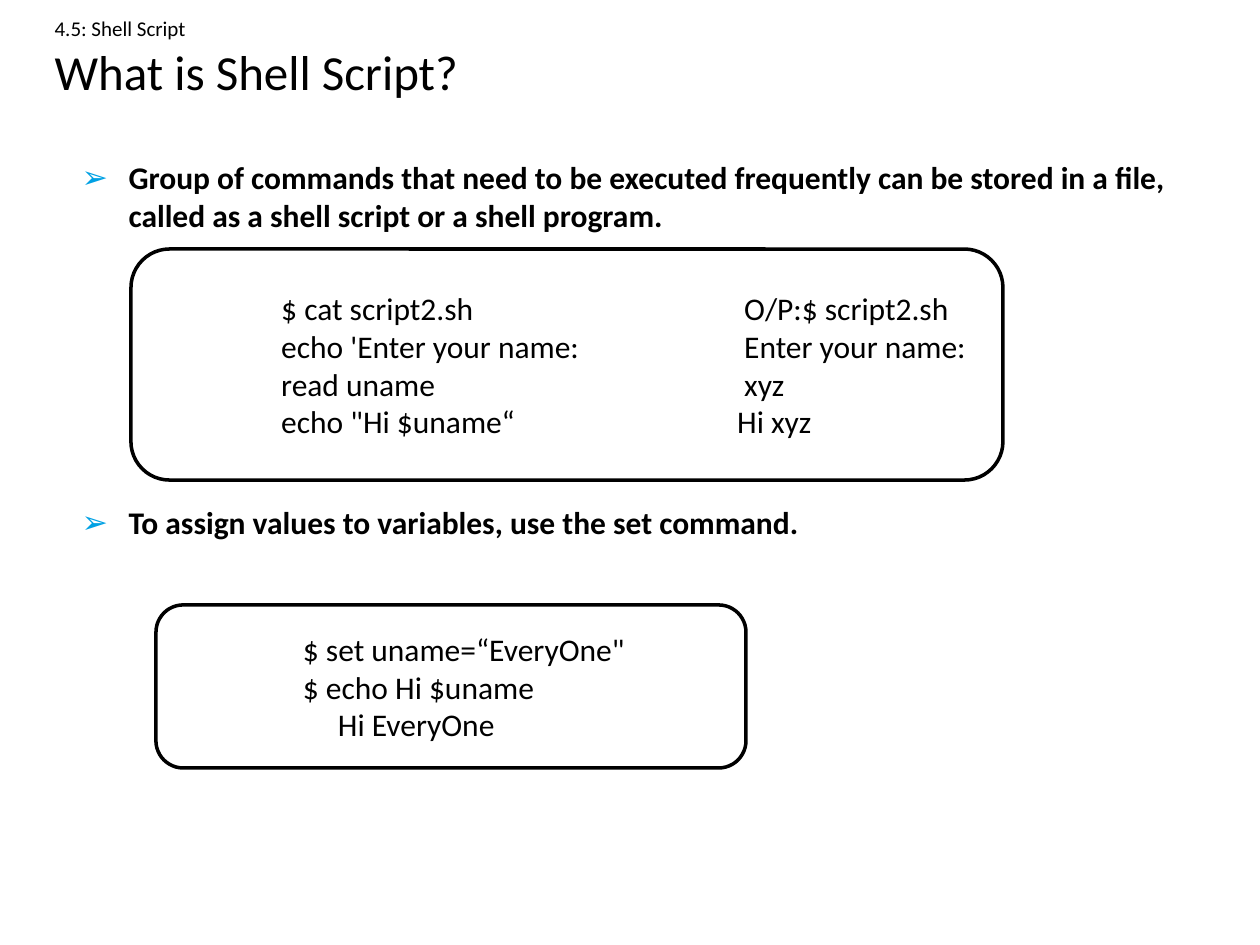
from lxml.etree import SubElement
from pptx import Presentation
from pptx.dml.color import RGBColor
from pptx.enum.shapes import MSO_SHAPE
from pptx.enum.text import MSO_ANCHOR, MSO_AUTO_SIZE, PP_ALIGN
from pptx.oxml.ns import qn
from pptx.util import Inches, Pt

COLORS = {"text": "000000", "bullet": "00A1E4", "box": "FFFFFF"}
FONT = "Calibri"
INDENT = 47          # hanging indent of the bullets
CODE_INSET = 139     # left inset of the code


def px(n):
    return round(n * 914400 / 126)


def color(name):
    return RGBColor.from_string(COLORS[name])


def place(shape, box):
    shape.left, shape.top, shape.width, shape.height = map(px, box)


def style(p, size, bold=False):
    for r in p.runs:
        r.font.name, r.font.size, r.font.bold = FONT, Pt(size), bold
        r.font.color.rgb = color("text")


def add_title(s, box, section, heading):
    title = s.shapes.title
    place(title, box)
    tf = title.text_frame
    tf.text = f"{section}\v{heading}"
    tf.auto_size = MSO_AUTO_SIZE.NONE
    tf.vertical_anchor = MSO_ANCHOR.MIDDLE
    p = tf.paragraphs[0]
    p.alignment = PP_ALIGN.LEFT
    style(p, 28)
    p.runs[0].font.size = Pt(12)


def add_bullets(s, box, items):
    """Fill the body with (text, space before in points) items."""
    body = s.placeholders[1]
    place(body, box)
    tf = body.text_frame
    tf.text = "\n".join(text for text, _ in items)
    tf.auto_size = MSO_AUTO_SIZE.NONE
    for p, (_, gap) in zip(tf.paragraphs, items):
        p.space_before = Pt(gap)
        style(p, 18, bold=True)
        pPr = p._p.get_or_add_pPr()
        pPr.set("marL", str(px(INDENT)))
        pPr.set("indent", str(-px(INDENT)))
        clr = SubElement(pPr, qn("a:buClr"))
        SubElement(clr, qn("a:srgbClr"), val=COLORS["bullet"])
        SubElement(pPr, qn("a:buChar"), char="\u27a2")


def add_code(s, box, lines):
    """Draw a rounded box of (text, left margin, tab stop) lines."""
    sp = s.shapes.add_shape(MSO_SHAPE.ROUNDED_RECTANGLE, *map(px, box))
    sp.adjustments[0] = 0.167
    sp.shadow.inherit = False
    sp.fill.solid()
    sp.fill.fore_color.rgb = color("box")
    sp.line.color.rgb = color("text")
    sp.line.width = Pt(2)
    tf = sp.text_frame
    tf.text = "\n".join(text for text, _, _ in lines)
    tf.word_wrap = True
    tf.margin_left = px(CODE_INSET)
    tf.vertical_anchor = MSO_ANCHOR.MIDDLE
    for p, (_, margin, stop) in zip(tf.paragraphs, lines):
        p.alignment = PP_ALIGN.LEFT
        style(p, 18)
        pPr = p._p.get_or_add_pPr()
        pPr.set("marL", str(px(margin)))
        if stop:
            tabs = SubElement(pPr, qn("a:tabLst"))
            SubElement(tabs, qn("a:tab"), pos=str(px(stop)), algn="l")


prs = Presentation()
prs.slide_width, prs.slide_height = Inches(10), Inches(7.5)
s = prs.slides.add_slide(prs.slide_layouts[1])

# Heading and bullets
add_title(s, (42, 3, 1134, 110), "4.5: Shell Script", "What is Shell Script?")
add_bullets(s, (69, 152, 1134, 672), [
    ("Group of commands that need to be executed frequently can be stored "
     "in a file, called as a shell script or a shell program.", 0),
    ("To assign values to variables, use the set command.", 154),
])

# Script with its output, then the set command
add_code(s, (131, 249, 872, 231), [
    ("$ cat script2.sh\tO/P:$ script2.sh", 0, 463),
    ("echo 'Enter your name:\tEnter your name:", 0, 463),
    ("read uname\txyz", 0, 463),
    ("echo \"Hi $uname\u201c\tHi xyz", 0, 456),
])
add_code(s, (156, 605, 590, 163), [
    ("$ set uname=\u201cEveryOne\"", 0, None),
    ("$ echo Hi $uname", 0, None),
    ("Hi EveryOne", 35, None),
])

prs.save("out.pptx")
